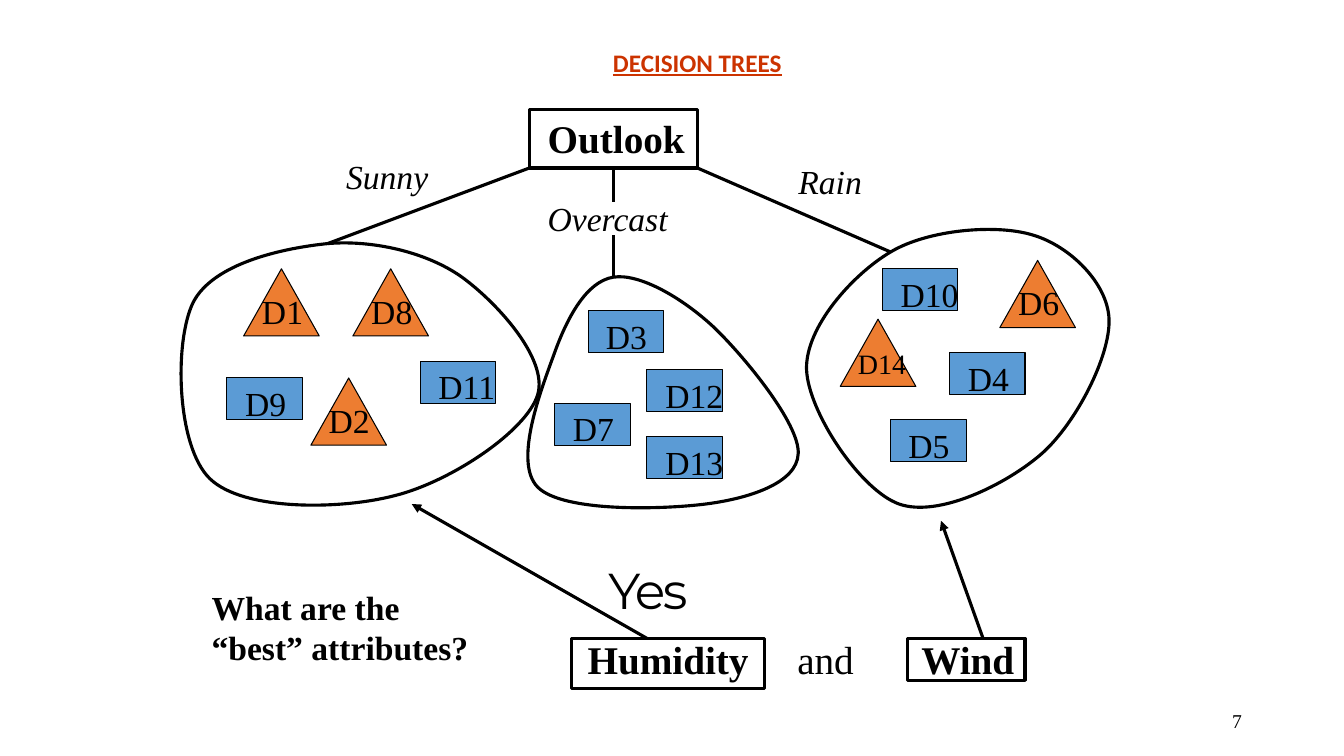
from dataclasses import dataclass

from lxml import etree
from pptx import Presentation
from pptx.dml.color import RGBColor
from pptx.enum.shapes import MSO_CONNECTOR, MSO_SHAPE
from pptx.enum.text import MSO_ANCHOR, MSO_AUTO_SIZE, PP_ALIGN
from pptx.oxml.ns import qn
from pptx.util import Inches, Pt

RECTANGLE = MSO_SHAPE.RECTANGLE
TRIANGLE = MSO_SHAPE.ISOSCELES_TRIANGLE
STRAIGHT = MSO_CONNECTOR.STRAIGHT
LEFT, CENTER, RIGHT = PP_ALIGN.LEFT, PP_ALIGN.CENTER, PP_ALIGN.RIGHT
TOP, MIDDLE = MSO_ANCHOR.TOP, MSO_ANCHOR.MIDDLE

COLORS = {"ink": "000000", "yes": "5B9BD5", "no": "ED7D31", "title": "CC3300"}
SERIF = "Times New Roman"
TITLE_ONLY_LAYOUT = 5
THICK, THIN = 2.25, 0.75

Point = tuple[float, float]


@dataclass
class Day:
    name: str
    left: float
    top: float
    positive: bool = True
    size: int = 24
    text_drop: float = 0.17


@dataclass
class Label:
    text: str
    box: tuple[float, float, float, float]
    size: int = 24
    bold: bool = False
    italic: bool = False


@dataclass
class Link:
    start: Point
    end: Point
    arrow: bool = False


DAYS = [
    Day("D13", 6.42, 4.33),
    Day("D12", 6.42, 3.67),
    Day("D11", 4.17, 3.58),
    Day("D10", 8.75, 2.67),
    Day("D9", 2.25, 3.75),
    Day("D4", 9.42, 3.5),
    Day("D7", 5.5, 4),
    Day("D5", 8.83, 4.17),
    Day("D3", 5.83, 3.08),
    Day("D14", 8.33, 3.17, positive=False, size=20, text_drop=0.22),
    Day("D8", 3.5, 2.67, positive=False),
    Day("D6", 9.92, 2.58, positive=False),
    Day("D2", 3.08, 3.75, positive=False),
    Day("D1", 2.42, 2.67, positive=False),
]

LABELS = [
    Label("Outlook", (5.33, 1.08, 1.56, 0.57), 28, bold=True),
    Label("Sunny", (3.33, 1.5, 1.02, 0.5), italic=True),
    Label("Overcast", (5.33, 1.92, 1.4, 0.5), italic=True),
    Label("Rain", (7.82, 1.55, 0.83, 0.5), italic=True),
    Label("What are the\n“best” attributes?", (2, 5.77, 2.77, 0.91), bold=True),
]

# Frames around Outlook, Humidity and Wind
FRAMES = [(5.25, 1.08, 1.67, 0.58), (5.67, 6.33, 1.92, 0.5), (9, 6.33, 1.17, 0.42)]

LINKS = [
    Link((6.92, 1.67), (8.83, 2.5)),
    Link((5.25, 1.67), (3.25, 2.42)),
    Link((6.08, 1.67), (6.08, 2)),
    Link((6.08, 2.33), (6.08, 2.75)),
    Link((6.42, 6.33), (4.08, 5), arrow=True),
    Link((9.75, 6.33), (9.33, 5.17), arrow=True),
]

# Points that each closed curve passes through
REGIONS = [
    [(3.25, 2.42), (1.92, 3), (2.08, 4.75), (3.92, 4.92), (5.33, 3.92), (4.58, 2.75)],
    [(6.08, 2.75), (5.5, 3.5), (5.33, 4.83), (7, 5), (7.92, 4.5), (7.08, 3.25)],
    [(8.83, 2.5), (8, 3.67), (8.92, 5), (10.33, 4.5), (11, 3.17), (10.25, 2.33)],
]


def color(name: str) -> RGBColor:
    return RGBColor.from_string(COLORS[name])


def length(value: float) -> int:
    """Inches, settled on the twelfth-inch grid when within rounding of it."""
    nearest = round(value * 12) / 12
    return Inches(nearest if abs(nearest - value) < 0.005 else value)


def format_run(run, *, size: int, font: str = SERIF, ink: str = "ink", bold: bool = False,
               italic: bool = False, underline: bool = False) -> None:
    run.font.name, run.font.size = font, Pt(size)
    run.font.bold, run.font.italic, run.font.underline = bold, italic, underline
    run.font.color.rgb = color(ink)


def write_text(shape, text: str, *, align=LEFT, anchor=TOP, wrap: bool = False,
               **run_format) -> None:
    frame = shape.text_frame
    frame.text = text
    frame.word_wrap = wrap
    frame.auto_size = MSO_AUTO_SIZE.NONE
    frame.vertical_anchor = anchor
    for paragraph in frame.paragraphs:
        paragraph.alignment = align
        for run in paragraph.runs:
            format_run(run, **run_format)


def add_text(shapes, box: tuple, text: str, **text_format):
    shape = shapes.add_textbox(*map(length, box))
    write_text(shape, text, **text_format)
    return shape


def style_shape(shape, weight: float, fill: str | None = None) -> None:
    shape.shadow.inherit = False
    if fill:
        shape.fill.solid()
        shape.fill.fore_color.rgb = color(fill)
    else:
        shape.fill.background()
    shape.line.color.rgb = color("ink")
    shape.line.width = Pt(weight)


def add_day(slide, day: Day) -> None:
    shapes = slide.shapes.add_group_shape().shapes
    kind, height, drop, fill = (
        (RECTANGLE, 0.42, 0, "yes") if day.positive
        else (TRIANGLE, 0.67, day.text_drop, "no"))
    marker = shapes.add_shape(kind, *map(length, (day.left, day.top, 0.75, height)))
    style_shape(marker, THIN, fill)
    width = 0.2 + day.size / 24 * (0.41 if len(day.name) == 2 else 0.58)
    add_text(shapes, (day.left + 0.08, day.top + drop, width, day.size / 48),
             day.name, size=day.size)


def add_link(slide, link: Link) -> None:
    connector = slide.shapes.add_connector(STRAIGHT, *map(length, (*link.start, *link.end)))
    connector.line.color.rgb = color("ink")
    connector.line.width = Pt(THICK)
    if link.arrow:
        etree.SubElement(connector.line._get_or_add_ln(), qn("a:tailEnd"), type="triangle")
    etree.SubElement(connector._element.spPr, qn("a:effectLst"))


def bezier_points(knots: list[Point]) -> list[Point]:
    """Two handles and an end point for each stretch of a smooth closed curve."""
    points = []
    for index in range(len(knots)):
        before, start, end, after = (knots[(index + k) % len(knots)] for k in (-1, 0, 1, 2))
        points.append(tuple(b + (c - a) / 6 for a, b, c in zip(before, start, end)))
        points.append(tuple(c - (d - b) / 6 for b, c, d in zip(start, end, after)))
        points.append(end)
    return points


def add_region(slide, knots: list[Point]) -> None:
    first, *others = [(length(x), length(y)) for x, y in [knots[0], *bezier_points(knots)]]
    builder = slide.shapes.build_freeform(*first)
    builder.add_line_segments(others, close=True)
    region = builder.convert_to_shape()
    # Turn each three line points into one cubic curve
    lines = list(region._element.iter(qn("a:lnTo")))
    for index in range(0, len(others), 3):
        curve = etree.Element(qn("a:cubicBezTo"))
        lines[index].addprevious(curve)
        for line in lines[index:index + 3]:
            curve.append(line[0])
    for line in lines:
        line.getparent().remove(line)
    style_shape(region, THICK)


def add_attributes(slide) -> None:
    box = add_text(slide.shapes, (5.73, 6.25, 4.46, 0.57), "Humidity", size=28,
                   bold=True, wrap=True)
    paragraph = box.text_frame.paragraphs[0]
    tabs = etree.SubElement(paragraph._p.get_or_add_pPr(), qn("a:tabLst"))
    for text, bold, stop in (("\tand", False, 2.08), ("\tWind", True, 3.31)):
        etree.SubElement(tabs, qn("a:tab"), pos=str(Inches(stop)), algn="l")
        run = paragraph.add_run()
        run.text = text
        format_run(run, size=28, bold=bold)


def add_answer(slide) -> None:
    answer = add_text(slide.shapes, (5.92, 5.5, 1.02, 0.54), "Yes", size=36,
                      font="Montserrat", align=CENTER)
    properties = answer.text_frame.paragraphs[0].runs[0].font._element
    properties.set("spc", "-180")
    outline = etree.Element(qn("a:ln"), w=str(Pt(THIN)))
    fill = etree.SubElement(outline, qn("a:solidFill"))
    etree.SubElement(fill, qn("a:srgbClr"), val=COLORS["ink"])
    properties.insert(0, outline)


def main() -> None:
    presentation = Presentation()
    presentation.slide_width, presentation.slide_height = Inches(13.33), Inches(7.5)
    slide = presentation.slides.add_slide(presentation.slide_layouts[TITLE_ONLY_LAYOUT])

    # Title and slide number
    title = slide.shapes.title
    title.left, title.top, title.width, title.height = map(length, (2.5, 0.42, 8.83, 0.4))
    write_text(title, "DECISION TREES", size=18, font="Calibri", ink="title",
               bold=True, underline=True, align=CENTER, wrap=True)
    add_text(slide.shapes, (9.42, 6.95, 3, 0.4), "7", size=14,
             align=RIGHT, anchor=MIDDLE, wrap=True)

    # Training days
    for day in DAYS:
        add_day(slide, day)

    # Tree: wording, regions, branches and frames
    for label in LABELS:
        add_text(slide.shapes, label.box, label.text, size=label.size,
                 bold=label.bold, italic=label.italic)
    for knots in REGIONS:
        add_region(slide, knots)
    add_answer(slide)
    add_attributes(slide)
    for link in LINKS:
        add_link(slide, link)
    for box in FRAMES:
        style_shape(slide.shapes.add_shape(RECTANGLE, *map(length, box)), THICK)

    presentation.save("out.pptx")


if __name__ == "__main__":
    main()
